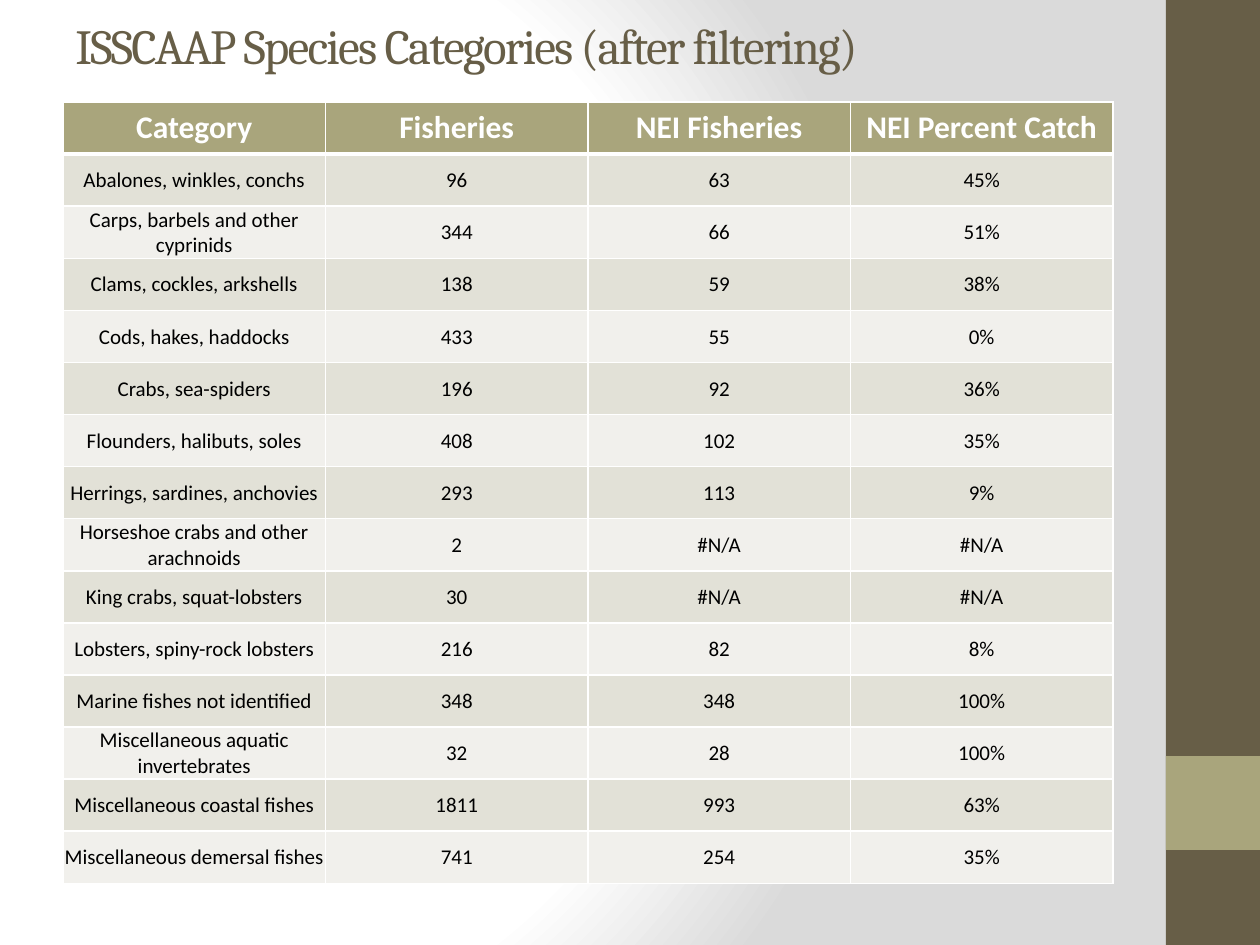
import pptx
import pptx.dml.color
import pptx.enum.shapes
import pptx.enum.text
import pptx.oxml
import pptx.oxml.ns
import pptx.util

DARK, OLIVE, WHITE, BLACK = "675E47", "A9A57C", "FFFFFF", "000000"
BANDS = ["E2E1D7", "F1F0EC"]
NS = pptx.oxml.ns.nsdecls("a")
MIDDLE = pptx.enum.text.MSO_ANCHOR.MIDDLE
CENTER = pptx.enum.text.PP_ALIGN.CENTER

HEADER = ["Category", "Fisheries", "NEI Fisheries", "NEI Percent Catch"]
SPECIES = [
    ["Abalones, winkles, conchs", "96", "63", "45%"],
    ["Carps, barbels and other cyprinids", "344", "66", "51%"],
    ["Clams, cockles, arkshells", "138", "59", "38%"],
    ["Cods, hakes, haddocks", "433", "55", "0%"],
    ["Crabs, sea-spiders", "196", "92", "36%"],
    ["Flounders, halibuts, soles", "408", "102", "35%"],
    ["Herrings, sardines, anchovies", "293", "113", "9%"],
    ["Horseshoe crabs and other arachnoids", "2", "#N/A", "#N/A"],
    ["King crabs, squat-lobsters", "30", "#N/A", "#N/A"],
    ["Lobsters, spiny-rock lobsters", "216", "82", "8%"],
    ["Marine fishes not identified", "348", "348", "100%"],
    ["Miscellaneous aquatic invertebrates", "32", "28", "100%"],
    ["Miscellaneous coastal fishes", "1811", "993", "63%"],
    ["Miscellaneous demersal fishes", "741", "254", "35%"],
]


def px(n):
    return pptx.util.Emu(round(n * 914400 / 126))


def rgb(color):
    return pptx.dml.color.RGBColor.from_string(color)


class Deck:
    title_font = {"name": "Cambria", "size": pptx.util.Pt(28), "bold": False}
    header_font = {"name": "Calibri", "size": pptx.util.Pt(18), "bold": True}
    body_font = {"name": "Calibri", "size": pptx.util.Pt(12), "bold": False}
    body_margins = {"margin_left": px(1), "margin_right": px(1),
                    "margin_top": px(1), "margin_bottom": px(0)}

    def __init__(self, prs):
        self.s = prs.slides.add_slide(prs.slide_layouts[6])

    def background(self, stops):
        self.s.background.fill.gradient()
        grad = self.s.element.find(".//" + pptx.oxml.ns.qn("a:gradFill"))
        marks = "".join(f'<a:gs pos="{pos * 1000}"><a:srgbClr val="{color}"/></a:gs>'
                        for pos, color in stops)
        grad.getparent().replace(grad, pptx.oxml.parse_xml(
            f'<a:gradFill {NS} rotWithShape="1"><a:gsLst>{marks}</a:gsLst>'
            '<a:path path="circle"><a:fillToRect l="20000" t="50000" r="100000" b="50000"/>'
            '</a:path></a:gradFill>'))

    def rect(self, x, y, w, h, color):
        sp = self.s.shapes.add_shape(pptx.enum.shapes.MSO_SHAPE.RECTANGLE,
                                     px(x), px(y), px(w), px(h))
        sp.shadow.inherit = False
        sp.fill.solid()
        sp.fill.fore_color.rgb = rgb(color)
        sp.line.fill.background()

    def add_text(self, p, text, font, color):
        r = p.add_run()
        r.text = text
        for key, value in font.items():
            setattr(r.font, key, value)
        r.font.color.rgb = rgb(color)
        return r

    def title(self, x, y, w, h, text):
        tf = self.s.shapes.add_textbox(px(x), px(y), px(w), px(h)).text_frame
        tf.word_wrap = True
        tf.vertical_anchor = MIDDLE
        r = self.add_text(tf.paragraphs[0], text, self.title_font, DARK)
        r.font._element.set("spc", "-100")

    def borders(self, cell, widths):
        tc_pr = cell._tc.get_or_add_tcPr()
        for i, (side, width) in enumerate(widths.items()):
            tc_pr.insert(i, pptx.oxml.parse_xml(
                f'<a:ln{side} {NS} w="{pptx.util.Pt(width)}"><a:solidFill>'
                f'<a:srgbClr val="{WHITE}"/></a:solidFill></a:ln{side}>'))

    def cell(self, cell, text, row):
        head = row == 0
        cell.fill.solid()
        cell.fill.fore_color.rgb = rgb(OLIVE if head else BANDS[(row - 1) % 2])
        cell.vertical_anchor = MIDDLE
        for key, value in ({} if head else self.body_margins).items():
            setattr(cell, key, value)
        p = cell.text_frame.paragraphs[0]
        p.alignment = CENTER
        self.add_text(p, text, self.header_font if head else self.body_font,
                      WHITE if head else BLACK)
        self.borders(cell, {"L": 1, "R": 1, "T": 3 if row == 1 else 1, "B": 3 if head else 1})

    def table(self, x, y, w, h, rows):
        tbl = self.s.shapes.add_table(len(rows), len(rows[0]),
                                      px(x), px(y), px(w), px(h)).table
        for col in tbl.columns:
            col.width = px(w / len(rows[0]))
        for i, row in enumerate(rows):
            tbl.rows[i].height = px(h / len(rows))
            for j, text in enumerate(row):
                self.cell(tbl.cell(i, j), text, i)


def main():
    prs = pptx.Presentation()
    prs.slide_width, prs.slide_height = px(1260), px(945)
    deck = Deck(prs)

    # Background and side band
    deck.background([(0, WHITE), (75, WHITE), (100, "DADADA")])
    deck.rect(1166, 0, 94, 945, DARK)
    deck.rect(1166, 756, 94, 94, OLIVE)

    # Title and species table
    deck.title(63, 4, 1050, 81, "ISSCAAP Species Categories (after filtering)")
    deck.table(63, 102, 1050, 782, [HEADER] + SPECIES)

    prs.save("out.pptx")


if __name__ == "__main__":
    main()
